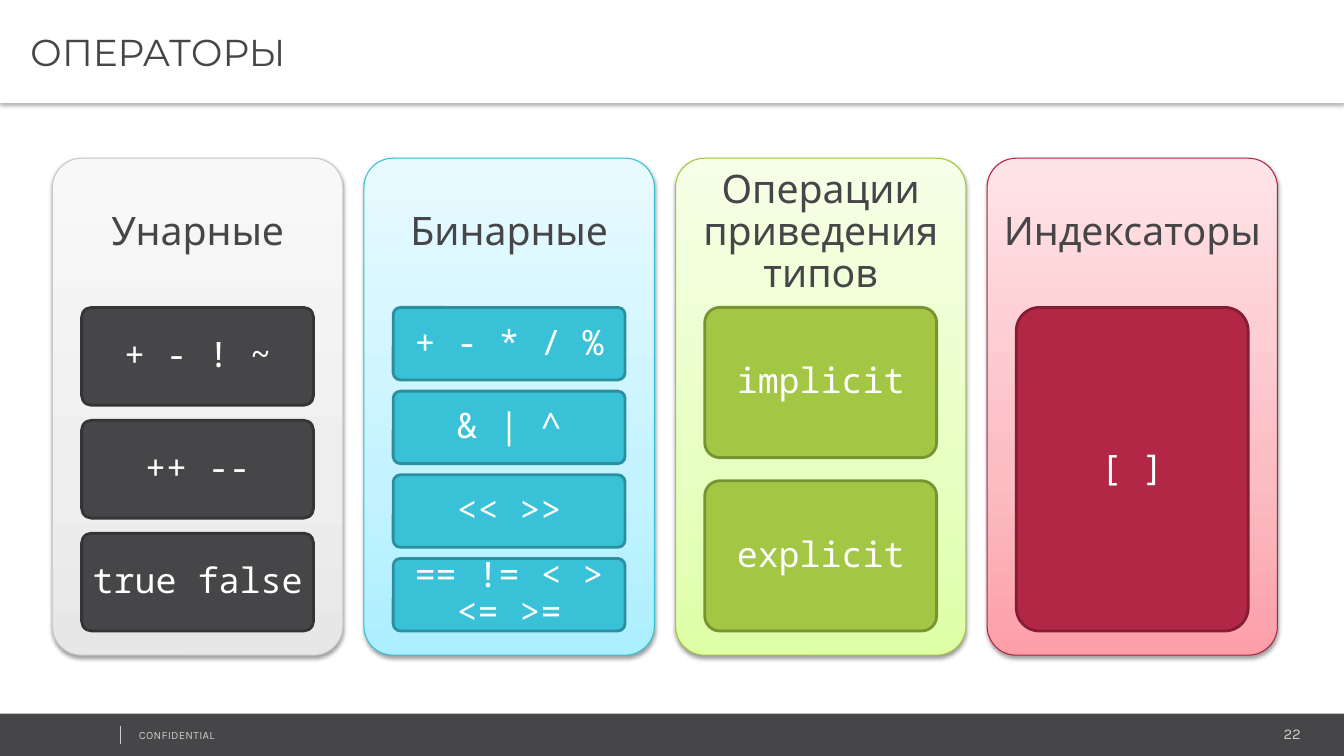
import copy
from dataclasses import dataclass

from lxml import etree
from pptx import Presentation
from pptx.dml.color import RGBColor
from pptx.enum.shapes import MSO_CONNECTOR, MSO_SHAPE
from pptx.enum.text import MSO_ANCHOR, PP_ALIGN
from pptx.oxml.ns import qn
from pptx.util import Inches, Pt

RECT, ROUND = MSO_SHAPE.RECTANGLE, MSO_SHAPE.ROUNDED_RECTANGLE
STRAIGHT = MSO_CONNECTOR.STRAIGHT
LEFT, CENTER, RIGHT = PP_ALIGN.LEFT, PP_ALIGN.CENTER, PP_ALIGN.RIGHT
MIDDLE, TOP = MSO_ANCHOR.MIDDLE, MSO_ANCHOR.TOP

COLORS = {"dark": "464547", "white": "FFFFFF", "muted": "CCCCCC", "shadow": "000000"}
BODY, HEADING, CODE = "Karla", "Montserrat", "Noto Sans Mono"
DEFAULT_INSETS = (0.1, 0.05, 0.1, 0.05)

PANEL_LEFT, PANEL_TOP, PANEL_STEP = 0.52, 1.57, 3.09
PANEL_W, PANEL_H, HEADER_H = 2.88, 4.93, 1.48
CARD_INDENT, CARD_TOP, CARD_W, CARDS_H = 0.29, 3.05, 2.3, 3.21
GAP_RATIO = 2 / 13  # gap between cards, relative to card height
CORNER = 0.1


@dataclass
class Panel:
    title: str
    cards: list[str]
    gradient: tuple[str, str, str]  # from bottom to top
    border: str
    card_fill: str
    card_border: str


@dataclass
class TextStyle:
    font: str
    size: float
    color: str
    align: PP_ALIGN = CENTER
    anchor: MSO_ANCHOR = MIDDLE
    insets: tuple[float, float, float, float] = DEFAULT_INSETS
    line_spacing: float = 1.0


PANELS = [
    Panel("Унарные", ["+ - ! ~", "++ --", "true false"],
          ("E7E7E7", "EEEEEE", "F8F8F8"), "C8C8C8", "464547", "343335"),
    Panel("Бинарные", ["+ - * / %", "& | ^", "<< >>", "== != < > <= >="],
          ("ACEFFF", "C4F3FF", "E9FAFF"), "34C1D6", "39C2D7", "2A909F"),
    Panel("Операции приведения типов", ["implicit", "explicit"],
          ("DEFFA6", "E7FFC0", "F6FFE7"), "A1C53F", "A3C644", "799232"),
    Panel("Индексаторы", ["[ ]"],
          ("FC9FA8", "FBBCC2", "FFE4E7"), "B12343", "B22746", "841D34"),
]

TITLE = TextStyle(HEADING, 26.7, COLORS["dark"], LEFT, insets=(0.3, 0.04, 0.07, 0.04))
PANEL_TITLE = TextStyle(BODY, 28, COLORS["dark"], insets=(0.12,) * 4, line_spacing=0.9)
CARD = TextStyle(CODE, 25, COLORS["white"], insets=(0.07, 0.05, 0.07, 0.05), line_spacing=0.9)
PAGE_NUMBER = TextStyle(BODY, 10.7, COLORS["muted"], RIGHT, TOP)
FOOTER_NOTE = TextStyle(BODY, 8, COLORS["muted"], LEFT, TOP)


def rgb(color: str) -> RGBColor:
    return RGBColor.from_string(color)


def write(sp, text: str, style: TextStyle):
    tf = sp.text_frame
    tf.word_wrap = True
    tf.vertical_anchor = style.anchor
    (tf.margin_left, tf.margin_top,
     tf.margin_right, tf.margin_bottom) = map(Inches, style.insets)
    p = tf.paragraphs[0]
    r = p.add_run()
    r.text = text
    p.alignment = style.align
    p.line_spacing = style.line_spacing
    p.font.name, p.font.size = style.font, Pt(style.size)
    p.font.color.rgb = rgb(style.color)
    return r


def add_text(slide, box: tuple, text: str, style: TextStyle):
    return write(slide.shapes.add_textbox(*map(Inches, box)), text, style)


def add_box(slide, kind, box: tuple, fill: str = "", border: str = "", width: float = 0):
    sp = slide.shapes.add_shape(kind, *map(Inches, box))
    sp.shadow.inherit = False
    if kind == ROUND:
        sp.adjustments[0] = CORNER
    if fill:
        sp.fill.solid()
        sp.fill.fore_color.rgb = rgb(fill)
    if border:
        sp.line.color.rgb = rgb(border)
        sp.line.width = Pt(width)
    else:
        sp.line.fill.background()
    return sp


def add_shadow(sp, alpha: int, blur: float, distance: float) -> None:
    """Cast a soft shadow straight down."""
    effects = sp._element.spPr.find(qn("a:effectLst"))
    shadow = etree.SubElement(effects, qn("a:outerShdw"), blurRad=str(Pt(blur)),
                              dist=str(Pt(distance)), dir="5400000", rotWithShape="0")
    color = etree.SubElement(shadow, qn("a:srgbClr"), val=COLORS["shadow"])
    etree.SubElement(color, qn("a:alpha"), val=str(alpha * 1000))


def fill_gradient(sp, colors: tuple[str, str, str]) -> None:
    sp.fill.gradient()
    sp.fill.gradient_angle = 90
    stop_list = sp._element.spPr.find(qn("a:gradFill")).find(qn("a:gsLst"))
    stop_list.insert(1, copy.deepcopy(stop_list[0]))
    for stop, position, color in zip(sp.fill.gradient_stops, (0, 0.35, 1), colors):
        stop.position = position
        stop.color.rgb = rgb(color)


def add_panel(slide, left: float, panel: Panel) -> None:
    sp = add_box(slide, ROUND, (left, PANEL_TOP, PANEL_W, PANEL_H),
                 border=panel.border, width=0.75)
    fill_gradient(sp, panel.gradient)
    add_shadow(sp, 38, 3.1, 1.6)
    add_text(slide, (left, PANEL_TOP, PANEL_W, HEADER_H), panel.title, PANEL_TITLE)

    count = len(panel.cards)
    height = CARDS_H / (count + (count - 1) * GAP_RATIO)
    for i, text in enumerate(panel.cards):
        top = CARD_TOP + i * height * (1 + GAP_RATIO)
        card = add_box(slide, ROUND, (left + CARD_INDENT, top, CARD_W, height),
                       panel.card_fill, panel.card_border, 2)
        write(card, text, CARD)


def add_footer(slide) -> None:
    add_box(slide, RECT, (0, 7.08, 13.35, 0.43), COLORS["dark"])
    add_text(slide, (10.82, 7.14, 2.18, 0.28), "22", PAGE_NUMBER)
    r = add_text(slide, (1.28, 7.18, 3.38, 0.24), "CONFIDENTIAL", FOOTER_NOTE)
    r._r.get_or_add_rPr().set("spc", "20")
    divider = slide.shapes.add_connector(STRAIGHT, *map(Inches, (1.19, 7.2, 1.19, 7.38)))
    divider.line.color.rgb = rgb(COLORS["muted"])
    divider.line.width = Pt(0.25)
    etree.SubElement(divider._element.spPr, qn("a:effectLst"))


def add_title(slide) -> None:
    sp = add_box(slide, RECT, (0, 0, 13.33, 1.02), COLORS["white"])
    add_shadow(sp, 30, 3.1, 2)
    write(sp, "ОПЕРАТОРЫ", TITLE)


def main() -> None:
    prs = Presentation()
    prs.slide_width, prs.slide_height = Inches(13.33), Inches(7.5)
    slide = prs.slides.add_slide(prs.slide_layouts[6])
    add_footer(slide)
    for i, panel in enumerate(PANELS):
        add_panel(slide, PANEL_LEFT + i * PANEL_STEP, panel)
    add_title(slide)
    prs.save("out.pptx")


if __name__ == "__main__":
    main()
